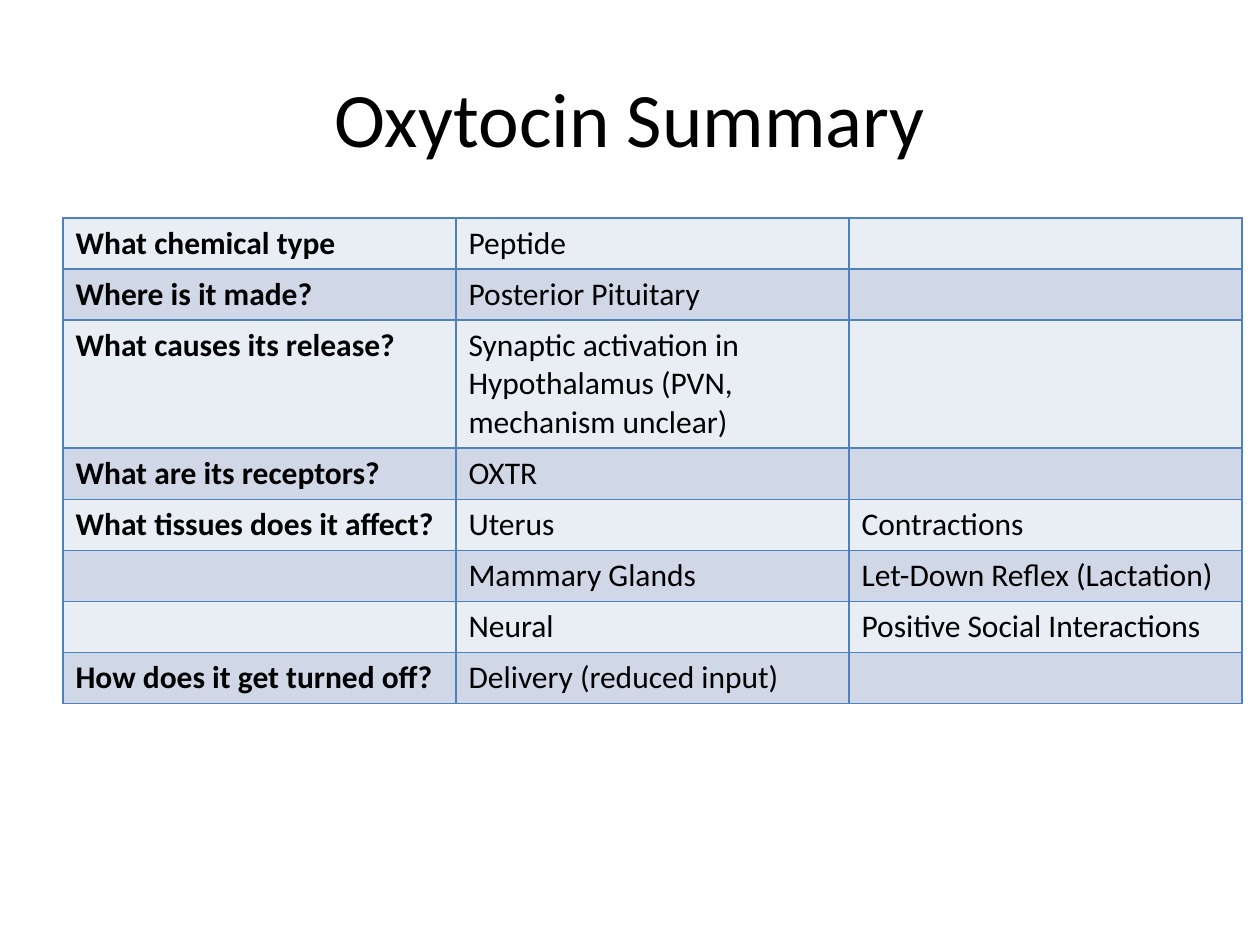
from lxml import etree
from pptx import Presentation
from pptx.dml.color import RGBColor
from pptx.enum.text import MSO_ANCHOR, PP_ALIGN
from pptx.oxml.ns import qn
from pptx.util import Emu, Pt

CENTER = PP_ALIGN.CENTER
MIDDLE = MSO_ANCHOR.MIDDLE
PX = 914400 // 126
FONT = "Calibri"
COLORS = {"text": "000000", "light": "E9EDF4", "dark": "D0D8E8", "border": "4F81BD"}

TITLE = "Oxytocin Summary"
ROWS = [
    ("What chemical type", "Peptide", ""),
    ("Where is it made?", "Posterior Pituitary", ""),
    ("What causes its release?",
     "Synaptic activation in Hypothalamus (PVN, mechanism unclear)", ""),
    ("What are its receptors?", "OXTR", ""),
    ("What tissues does it affect?", "Uterus", "Contractions"),
    ("", "Mammary Glands", "Let-Down Reflex (Lactation)"),
    ("", "Neural", "Positive Social Interactions"),
    ("How does it get turned off?", "Delivery (reduced input)", ""),
]
TITLE_BOX = (63, 38, 1134, 158)
TABLE_LEFT, TABLE_TOP = 63, 218
COLUMN_WIDTH = 393
ROW_HEIGHT = 51
TALL_ROW, TALL_HEIGHT = 2, 128


def px(value):
    return Emu(value * PX)


def color(name):
    return RGBColor.from_string(COLORS[name])


def style_font(font, size, bold=False):
    font.name = FONT
    font.size = Pt(size)
    font.bold = bold
    font.color.rgb = color("text")


def add_borders(cell):
    properties = cell._tc.get_or_add_tcPr()
    for side in ("lnL", "lnR", "lnT", "lnB"):
        line = etree.SubElement(properties, qn(f"a:{side}"), w=str(Pt(1)))
        fill = etree.SubElement(line, qn("a:solidFill"))
        etree.SubElement(fill, qn("a:srgbClr"), val=COLORS["border"])


def add_title(page):
    title = page.shapes.title
    title.left, title.top, title.width, title.height = map(px, TITLE_BOX)
    title.text_frame.text = TITLE
    title.text_frame.vertical_anchor = MIDDLE
    para = title.text_frame.paragraphs[0]
    para.alignment = CENTER
    style_font(para.runs[0].font, 44)


def add_summary(page):
    columns = len(ROWS[0])
    heights = [TALL_HEIGHT if index == TALL_ROW else ROW_HEIGHT
               for index in range(len(ROWS))]
    table = page.shapes.add_table(
        len(ROWS), columns, px(TABLE_LEFT), px(TABLE_TOP),
        px(columns * COLUMN_WIDTH), px(sum(heights))).table
    table.first_row = False
    for column in table.columns:
        column.width = px(COLUMN_WIDTH)
    for row_index, texts in enumerate(ROWS):
        table.rows[row_index].height = px(heights[row_index])
        for column_index, text in enumerate(texts):
            cell = table.cell(row_index, column_index)
            add_borders(cell)
            cell.fill.solid()
            cell.fill.fore_color.rgb = color("dark" if row_index % 2 else "light")
            if text:
                cell.text_frame.text = text
                span = cell.text_frame.paragraphs[0].runs[0]
                style_font(span.font, 18, bold=column_index == 0)


def main():
    deck = Presentation()
    deck.slide_width, deck.slide_height = px(1260), px(945)
    page = deck.slides.add_slide(deck.slide_layouts[5])
    add_title(page)
    add_summary(page)
    deck.save("out.pptx")


if __name__ == "__main__":
    main()
